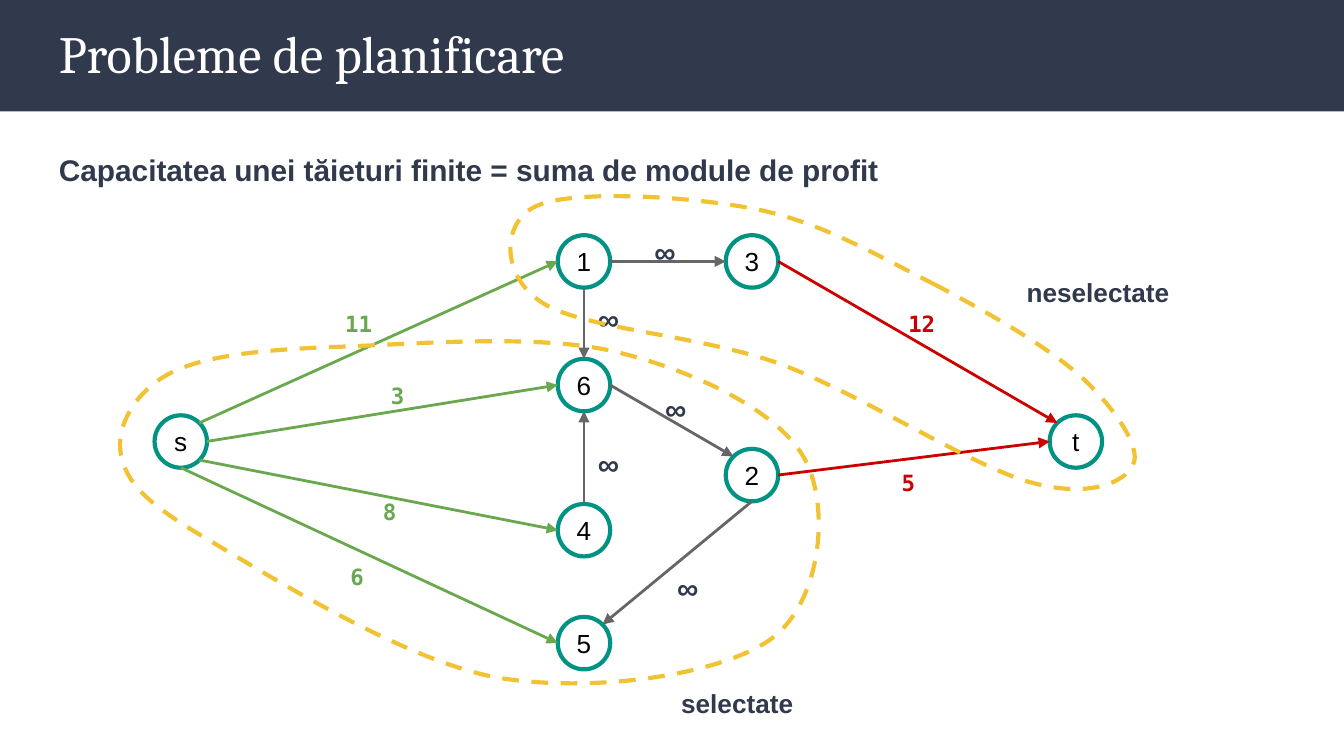
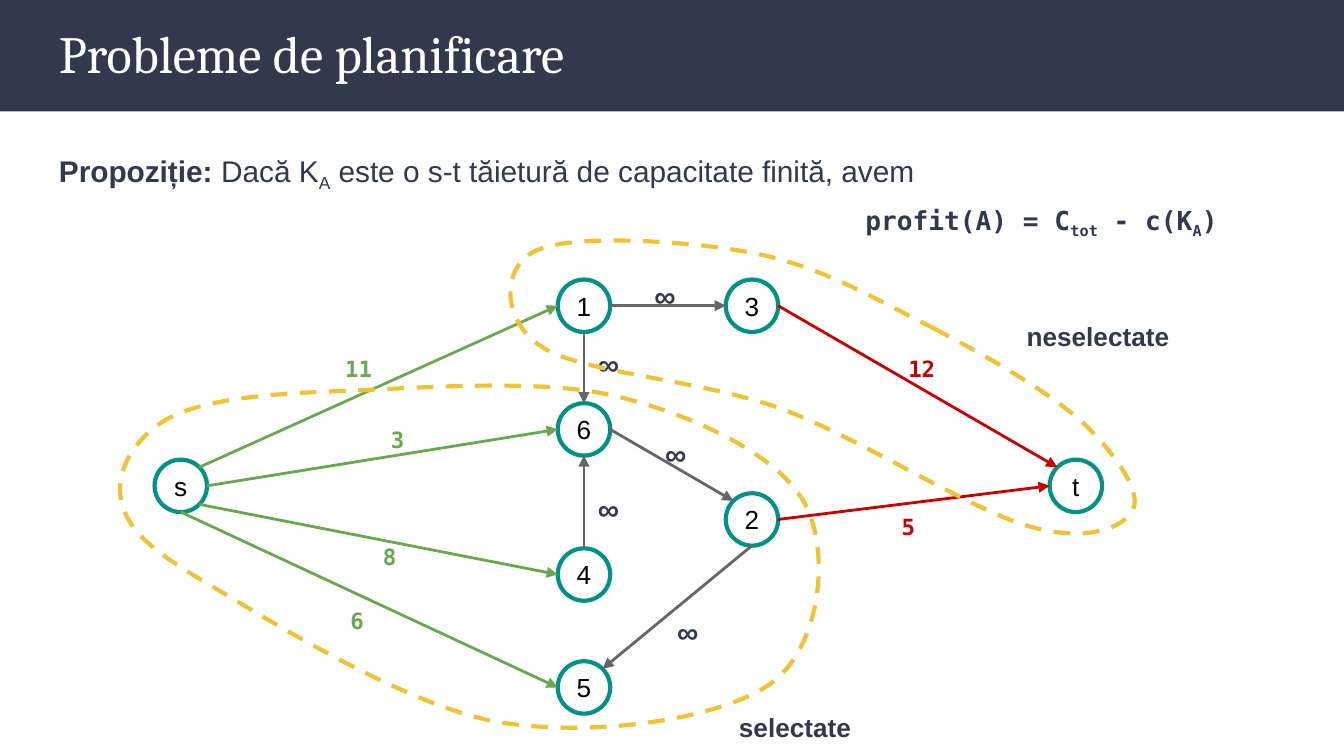
"""Build two slides on s-t cuts in a scheduling network."""
from math import cos, radians, sin
from typing import NamedTuple

from lxml.etree import SubElement
from pptx import Presentation
from pptx.dml.color import RGBColor
from pptx.enum.dml import MSO_LINE_DASH_STYLE as DASH
from pptx.enum.shapes import MSO_CONNECTOR as CXN, MSO_SHAPE as SHAPE
from pptx.enum.text import MSO_ANCHOR as ANCHOR, MSO_AUTO_SIZE as AUTO, PP_ALIGN as ALIGN
from pptx.oxml.ns import qn
from pptx.util import Emu, Pt

PX = 9144
NAVY, WHITE, BLACK = "31394D", "FFFFFF", "000000"
TEAL, GRAY, GREEN, RED, YELLOW = "009384", "666666", "6AA84F", "CC0000", "F1C232"
SANS, SERIF, MONO = "Arial", "Cambria", "DejaVu Sans Mono"
DIAMETER = 39
TOP, TOP_LEFT, LEFT, BOTTOM, BOTTOM_RIGHT, RIGHT, TOP_RIGHT = 0, 1, 2, 4, 5, 6, 7


class Box(NamedTuple):
    """Left, top, width and height in px."""
    x: int
    y: int
    w: int
    h: int


class Node(NamedTuple):
    """A vertex, placed by its left top corner."""
    name: str
    x: int
    y: int


class Edge(NamedTuple):
    """An arrow between connection sites of two nodes."""
    start: str
    start_site: int
    end: str
    end_site: int
    color: str


class Label(NamedTuple):
    """A capacity beside an edge."""
    text: str
    x: int
    y: int
    w: int
    color: str


class Part(NamedTuple):
    """A run of the heading with its format."""
    text: str
    fmt: dict


NODES = [
    Node("1", 415, 175), Node("3", 540, 175), Node("6", 415, 267), Node("4", 415, 375),
    Node("2", 540, 334), Node("5", 415, 459), Node("s", 115, 309), Node("t", 781, 309),
]
EDGES = [
    Edge("1", RIGHT, "3", LEFT, GRAY),
    Edge("1", BOTTOM, "6", TOP, GRAY),
    Edge("4", TOP, "6", BOTTOM, GRAY),
    Edge("6", RIGHT, "2", TOP_LEFT, GRAY),
    Edge("2", BOTTOM, "5", TOP_RIGHT, GRAY),
    Edge("s", TOP_RIGHT, "1", LEFT, GREEN),
    Edge("s", RIGHT, "6", LEFT, GREEN),
    Edge("s", BOTTOM_RIGHT, "4", LEFT, GREEN),
    Edge("s", BOTTOM, "5", LEFT, GREEN),
    Edge("3", RIGHT, "t", TOP_LEFT, RED),
    Edge("2", RIGHT, "t", LEFT, RED),
]
CAPACITIES = [
    Label("12", 666, 221, 54, RED), Label("5", 661, 339, 54, RED),
    Label("6", 251, 409, 46, GREEN), Label("8", 275, 361, 46, GREEN),
    Label("3", 281, 274, 46, GREEN), Label("11", 247, 221, 46, GREEN),
]
INFINITIES = [(477, 160), (435, 210), (485, 277), (435, 318), (494, 410)]
SELECTED = [
    (128, 277), (100, 291), (86, 318), (90, 338), (94, 359), (108, 374), (154, 401),
    (201, 429), (300, 491), (369, 504), (439, 516), (534, 503), (573, 476),
    (611, 449), (618, 378), (599, 342), (580, 306), (517, 276), (459, 262),
    (402, 248), (309, 256), (254, 258), (198, 260), (155, 264), (128, 277),
]
UNSELECTED = [
    (696, 212), (656, 192), (613, 166), (564, 156), (515, 146), (427, 141), (400, 153),
    (373, 164), (372, 205), (403, 225), (433, 245), (520, 249), (581, 271),
    (642, 294), (723, 347), (767, 359), (810, 371), (837, 359), (843, 346),
    (850, 333), (828, 302), (804, 280), (779, 258), (736, 233), (696, 212),
]


def emu(px: float) -> Emu:
    """Turn px into EMU."""
    return Emu(round(px * PX))


def rgb(color: str) -> RGBColor:
    """Turn a hex string into a colour."""
    return RGBColor.from_string(color)


def add_run(p, text: str, *, size: int = 16, font: str = SANS, color: str = NAVY,
            bold: bool = True, subscript: bool = False) -> None:
    """Append formatted text to a paragraph."""
    r = p.add_run()
    r.text = text
    r.font.name, r.font.size, r.font.bold = font, Pt(size), bold
    r.font.color.rgb = rgb(color)
    if subscript:
        r.font._element.set("baseline", "-25000")


def space(p, after: int = 10) -> None:
    """Set the paragraph spacing of body text."""
    p.line_spacing, p.space_after = 1.15, Pt(after)


def add_box(slide, box: Box, grow: bool = False):
    """Add an empty wrapping text box and return its text frame."""
    tf = slide.shapes.add_textbox(*map(emu, box)).text_frame
    tf.word_wrap = True
    tf.auto_size = AUTO.SHAPE_TO_FIT_TEXT if grow else AUTO.NONE
    tf.margin_left = tf.margin_right = tf.margin_top = tf.margin_bottom = emu(10)
    return tf


def add_label(slide, text: str, box: Box, spaced: bool = True, **fmt) -> None:
    """Add a one-line label."""
    p = add_box(slide, box, grow=True).paragraphs[0]
    if spaced:
        space(p)
    add_run(p, text, **fmt)


def add_heading(slide, lines: list[list[Part]]) -> None:
    """Add the statement, its second line indented as a formula."""
    tf = add_box(slide, Box(34, 99, 932, 411))
    for i, parts in enumerate(lines):
        p = tf.paragraphs[0] if i == 0 else tf.add_paragraph()
        space(p, 10 if i == len(lines) - 1 else 3)
        if i:
            p._p.get_or_add_pPr().set("marL", str(emu(600)))
        for part in parts:
            add_run(p, part.text, **part.fmt)


def add_node(slide, node: Node, dy: int):
    """Add a circle with its name."""
    sp = slide.shapes.add_shape(
        SHAPE.OVAL, *map(emu, Box(node.x, node.y + dy, DIAMETER, DIAMETER)))
    sp.shadow.inherit = False
    sp.fill.background()
    sp.line.color.rgb, sp.line.width = rgb(TEAL), Pt(2.25)
    tf = sp.text_frame
    tf.margin_left = tf.margin_right = tf.margin_top = tf.margin_bottom = emu(2)
    tf.vertical_anchor = ANCHOR.MIDDLE
    p = tf.paragraphs[0]
    p.alignment = ALIGN.CENTER
    add_run(p, node.name, size=14, color=BLACK, bold=False)
    return sp


def site_point(sp, site: int) -> tuple[Emu, Emu]:
    """Find a connection site, counted counter-clockwise from the top."""
    angle = radians(-90 - 45 * site)
    radius = sp.width / 2
    return (Emu(round(sp.left + radius * (1 + cos(angle)))),
            Emu(round(sp.top + radius * (1 + sin(angle)))))


def add_edge(slide, edge: Edge, circles: dict) -> None:
    """Join two circles with an arrow."""
    a, b = circles[edge.start], circles[edge.end]
    cxn = slide.shapes.add_connector(
        CXN.STRAIGHT, *site_point(a, edge.start_site), *site_point(b, edge.end_site))
    cxn.line.color.rgb, cxn.line.width = rgb(edge.color), Pt(1.5)
    SubElement(cxn.line._get_or_add_ln(), qn("a:tailEnd"), type="triangle")
    SubElement(cxn._element.spPr, qn("a:effectLst"))
    joints = cxn._element.nvCxnSpPr.cNvCxnSpPr
    for tag, sp, site in (("a:stCxn", a, edge.start_site), ("a:endCxn", b, edge.end_site)):
        SubElement(joints, qn(tag), id=str(sp.shape_id), idx=str(site))


def add_group_outline(slide, points: list[tuple[int, int]], dy: int) -> None:
    """Add a dashed closed curve through cubic segments."""
    (x, y), *rest = [(px, py + dy) for px, py in points]
    builder = slide.shapes.build_freeform(x, y, scale=float(PX))
    builder.add_line_segments(rest, close=True)
    sp = builder.convert_to_shape()
    sp.shadow.inherit = False
    sp.fill.background()
    sp.line.color.rgb, sp.line.width = rgb(YELLOW), Pt(2.25)
    sp.line.dash_style = DASH.DASH
    lines = list(sp._element.iter(qn("a:lnTo")))
    for first, *others in zip(*[iter(lines)] * 3):
        first.tag = qn("a:cubicBezTo")
        for other in others:
            first.append(other[0])
            other.getparent().remove(other)


def add_network(slide, dy: int, selected_at: tuple[int, int]) -> None:
    """Draw the network with both sides of the cut, shifted down by dy."""
    for c in CAPACITIES:
        add_label(slide, c.text, Box(c.x, c.y + dy, c.w, 40), spaced=False,
                  size=12, font=MONO, color=c.color)
    circles = {node.name: add_node(slide, node, dy) for node in NODES}
    for edge in EDGES:
        add_edge(slide, edge, circles)
    for x, y in INFINITIES:
        add_label(slide, "∞", Box(x, y + dy, 46, 47))
    add_label(slide, "selectate", Box(*selected_at, 124, 44), size=14)
    add_label(slide, "neselectate", Box(754, 192 + dy, 135, 44), size=14)
    for points in (SELECTED, UNSELECTED):
        add_group_outline(slide, points, dy)


def add_slide(prs, heading: list[list[Part]]):
    """Add a slide with the band, the title and a statement."""
    slide = prs.slides.add_slide(prs.slide_layouts[6])
    band = slide.shapes.add_shape(SHAPE.RECTANGLE, *map(emu, Box(0, 0, 1000, 83)))
    band.shadow.inherit = False
    band.fill.solid()
    band.fill.fore_color.rgb = rgb(NAVY)
    band.line.fill.background()
    add_heading(slide, heading)
    title = add_box(slide, Box(34, 6, 932, 68))
    add_run(title.paragraphs[0], "Probleme de planificare",
            size=28, font=SERIF, color=WHITE, bold=False)
    return slide


def main() -> None:
    """Build and save the slides."""
    prs = Presentation()
    prs.slide_width = emu(1000)
    prs.slide_height = Emu(prs.slide_width * 9 // 16)
    slide = add_slide(prs, [[
        Part("Capacitatea unei tăieturi finite = suma de module de profit", {})]])
    add_network(slide, 0, (497, 498))

    plain, mono = {"bold": False}, {"size": 14, "font": MONO}
    low = {"subscript": True}
    slide = add_slide(prs, [
        [Part("Propoziție: ", {}), Part("Dacă K", plain), Part("A", plain | low),
         Part(" este o s-t tăietură de capacitate finită, avem", plain)],
        [Part("profit(A) = C", mono), Part("tot", mono | low), Part(" - c(K", mono),
         Part("A", mono | low), Part(")", mono)],
    ])
    add_network(slide, 33, (540, 516))
    prs.save("out.pptx")


if __name__ == "__main__":
    main()
